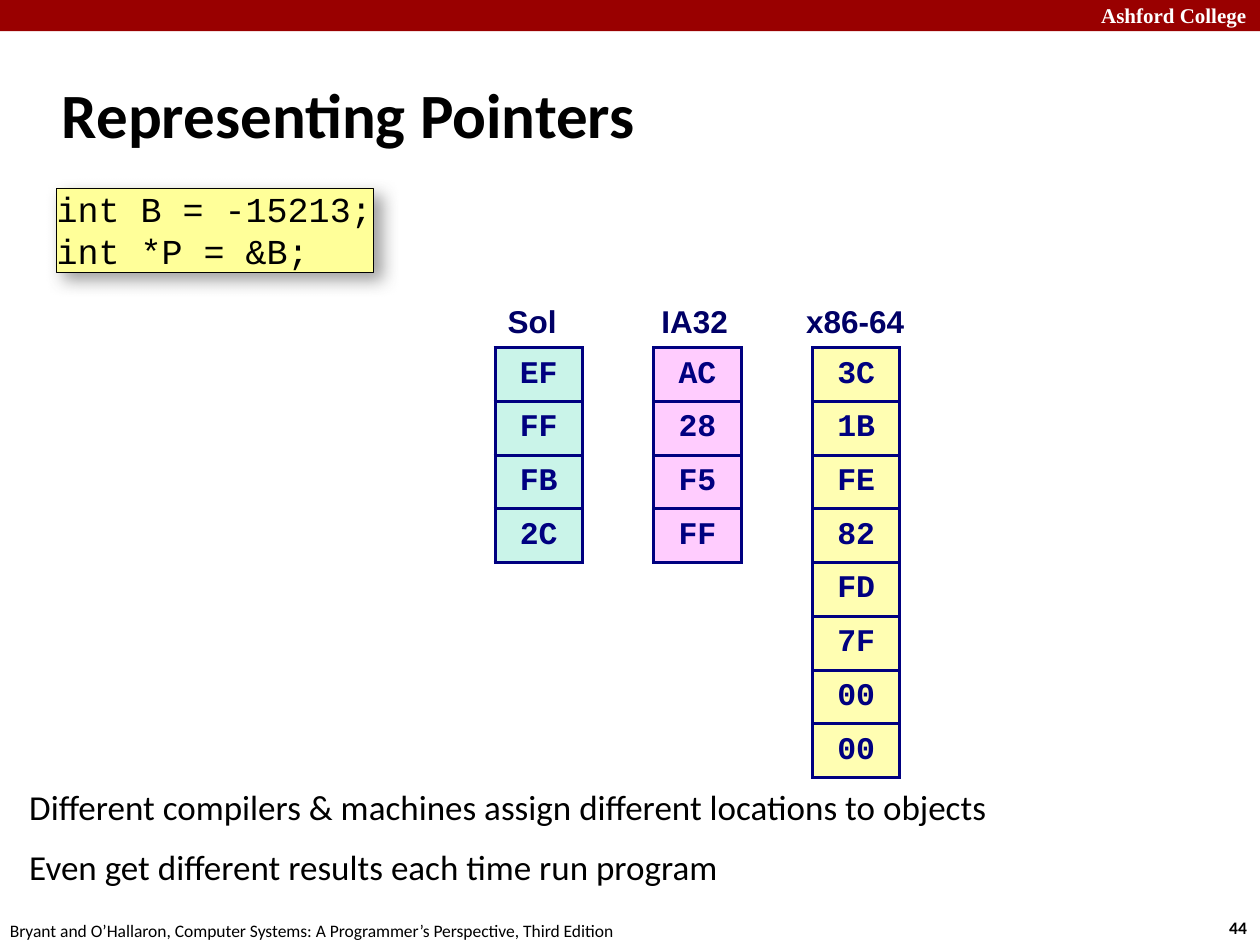
from lxml import etree
from pptx import Presentation
from pptx.dml.color import RGBColor
from pptx.enum import shapes, text
from pptx.oxml import parse_xml
from pptx.oxml.ns import nsdecls, qn
from pptx.util import Cm, Pt

COLORS = {
    "banner": "990000", "white": "FFFFFF", "black": "000000",
    "code": "FFFF99", "shadow": "808080", "label": "000066", "byte": "000080",
    "mint": "CAF4E9", "pink": "FFCCFE", "yellow": "FFFEB2",
}
INSETS = (0.25, 0.13, 0.25, 0.13)
TIGHT = (0.16, 0.16, 0.25, 0.16)
ROW_H, COL_W = 1.06, 1.76


def rgb(name):
    """Return the named colour."""
    return RGBColor.from_string(COLORS[name])


def write(tf, lines, size, font, color, bold=False, align=None, gap=0):
    """Fill a text frame with one paragraph per line, gap points apart."""
    tf.text = "\n".join(lines)
    for i, p in enumerate(tf.paragraphs):
        p.alignment = align
        if i and gap:
            p.space_before = Pt(gap)
        for r in p.runs:
            r.font.size, r.font.name, r.font.bold = Pt(size), font, bold
            r.font.color.rgb = rgb(color)


def set_insets(tf, insets):
    """Set left, top, right and bottom insets in centimetres."""
    (tf.margin_left, tf.margin_top,
     tf.margin_right, tf.margin_bottom) = map(Cm, insets)


def add_label(slide, box, lines, size, font, color, wrap=True, insets=INSETS,
              anchor=text.MSO_ANCHOR.TOP, **style):
    """Add a text box in the given box."""
    tf = slide.shapes.add_textbox(*map(Cm, box)).text_frame
    tf.word_wrap, tf.vertical_anchor = wrap, anchor
    set_insets(tf, insets)
    write(tf, lines, size, font, color, **style)


def add_rect(slide, box, fill):
    """Add a plain filled rectangle."""
    sp = slide.shapes.add_shape(shapes.MSO_SHAPE.RECTANGLE, *map(Cm, box))
    sp.shadow.inherit = False
    sp.fill.solid()
    sp.fill.fore_color.rgb = rgb(fill)
    sp.line.fill.background()
    return sp


def add_header(slide, box):
    """Draw the banner with the school name at its right end."""
    left, top, width, height = box
    add_rect(slide, box, "banner")
    add_label(slide, (left + width - 3.45, top - 0.08, 3.63, 0.76),
              ["Ashford College"], 12, "Times New Roman", "white", bold=True)


def add_footer(slide, box):
    """Place the book credit on the left and the page number on the right."""
    left, top, width, height = box
    add_label(slide, (left, top, 12.9, height),
              ["Bryant and O’Hallaron, Computer Systems: "
               "A Programmer’s Perspective, Third Edition"],
              10, "Calibri", "black", wrap=False)
    add_label(slide, (left + width - 0.94, top - 0.05, 0.94, height),
              ["44"], 10, "Calibri", "black", wrap=False, bold=True)


def add_code(slide, box, lines):
    """Draw the code box with its soft shadow."""
    sp = add_rect(slide, box, "code")
    sp.line.color.rgb, sp.line.width = rgb("black"), Pt(0.5)
    effects = sp._element.spPr.find(qn("a:effectLst"))
    effects.append(parse_xml(
        f'<a:outerShdw {nsdecls("a")} blurRad="{Pt(10)}" dist="{Pt(6)}" '
        f'dir="2700000" algn="tl" rotWithShape="0">'
        f'<a:srgbClr val="{COLORS["shadow"]}"><a:alpha val="75000"/>'
        f'</a:srgbClr></a:outerShdw>'))
    tf = sp.text_frame
    tf.word_wrap, tf.vertical_anchor = False, text.MSO_ANCHOR.TOP
    set_insets(tf, (0, 0, 0, 0))
    write(tf, lines, 20, "Courier New", "black", align=text.PP_ALIGN.LEFT)


def border_cell(cell):
    """Draw a line on all four sides of a cell."""
    tc_pr = cell._tc.get_or_add_tcPr()
    for i, side in enumerate(("lnL", "lnR", "lnT", "lnB")):
        ln = etree.Element(qn(f"a:{side}"), w=str(Pt(2)))
        fill = etree.SubElement(ln, qn("a:solidFill"))
        etree.SubElement(fill, qn("a:srgbClr"), val=COLORS["byte"])
        tc_pr.insert(i, ln)


def add_bytes(slide, left, top, name, label_box, values, fill):
    """Draw a labelled column of bytes; label_box is (offset, width)."""
    offset, width = label_box
    add_label(slide, (left + offset, top - 1.09, width, ROW_H), [name], 18,
              "Arial", "label", wrap=False, insets=TIGHT, bold=True,
              align=text.PP_ALIGN.CENTER)
    table = slide.shapes.add_table(len(values), 1, Cm(left), Cm(top), Cm(COL_W),
                                   Cm(ROW_H * len(values))).table
    table.first_row = table.horz_banding = False
    for row, value in enumerate(values):
        cell = table.cell(row, 0)
        cell.fill.solid()
        cell.fill.fore_color.rgb = rgb(fill)
        cell.vertical_anchor = text.MSO_ANCHOR.MIDDLE
        set_insets(cell, (0.16,) * 4)
        write(cell.text_frame, [value], 18, "Courier New", "byte", bold=True,
              align=text.PP_ALIGN.CENTER)
        border_cell(cell)


def add_machines(slide, left, top, pitch):
    """Place one byte column per machine at an equal pitch."""
    machines = [
        ("Sol", (-0.02, 1.63), "EF FF FB 2C", "mint"),
        ("IA32", (-0.02, 1.78), "AC 28 F5 FF", "pink"),
        ("x86-64", (-0.3, 2.41), "3C 1B FE 82 FD 7F 00 00", "yellow"),
    ]
    for i, (name, label_box, values, fill) in enumerate(machines):
        add_bytes(slide, left + i * pitch, top, name, label_box,
                  values.split(), fill)


prs = Presentation()
prs.slide_width, prs.slide_height = Cm(25.4), Cm(19.05)
s = prs.slides.add_slide(prs.slide_layouts[6])

add_header(s, (0, 0, 25.4, 0.63))
add_footer(s, (-0.05, 18.41, 25.52, 0.69))
add_label(s, (1, 1.22, 21.08, 2.11), ["Representing Pointers"], 36, "Calibri",
          "black", bold=True, anchor=text.MSO_ANCHOR.MIDDLE)
add_label(s, (0.43, 15.67, 24.56, 1.88),
          ["Different compilers & machines assign different locations to objects",
           "Even get different results each time run program"],
          20, "Calibri", "black", insets=TIGHT, gap=10.5)
add_code(s, (1.14, 3.79, 6.4, 1.7), ["int B = -15213;", "int *P = &B;"])
add_machines(s, 9.98, 7.01, 3.2)

prs.save("out.pptx")
